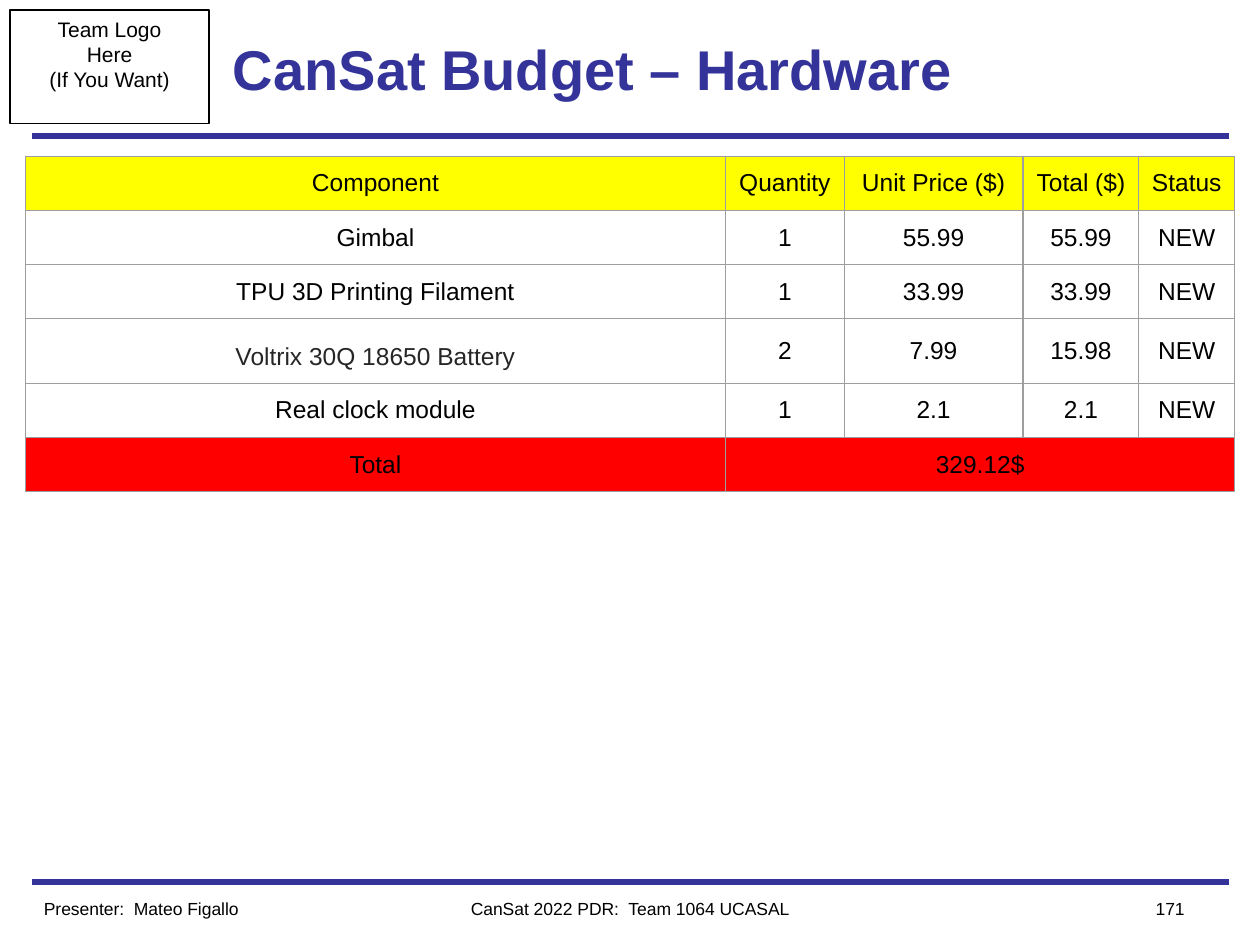
from dataclasses import dataclass

from lxml.etree import SubElement
from pptx import Presentation
from pptx.dml.color import RGBColor
from pptx.enum.shapes import MSO_CONNECTOR as Connector, MSO_SHAPE as Shape
from pptx.enum.text import MSO_ANCHOR as Anchor, PP_ALIGN as Align
from pptx.oxml.ns import qn
from pptx.util import Inches, Pt


@dataclass(frozen=True)
class Theme:
    font: str = "Arial"
    navy: str = "333399"
    black: str = "000000"
    gray: str = "262626"
    border: str = "9E9E9E"
    yellow: str = "FFFF00"
    red: str = "FF0000"
    title: int = 32
    table: int = 14
    logo: int = 12
    footer: int = 10


theme = Theme()

TITLE = "CanSat Budget – Hardware"
LOGO = ["Team Logo", "Here", "(If You Want)"]
FOOTERS = [
    ("Presenter:  Mateo Figallo", 0.25, 2.5, Align.LEFT),
    ("CanSat 2022 PDR:  Team 1064 UCASAL", 3, 4, Align.CENTER),
    ("171", 8.75, 0.75, Align.RIGHT),
]
HEADER = ["Component", "Quantity", "Unit Price ($)", "Total ($)", "Status"]
BATTERY = "Voltrix 30Q 18650 Battery"
ITEMS = [
    ["Gimbal", "1", "55.99", "55.99", "NEW"],
    ["TPU 3D Printing Filament", "1", "33.99", "33.99", "NEW"],
    [BATTERY, "2", "7.99", "15.98", "NEW"],
    ["Real clock module", "1", "2.1", "2.1", "NEW"],
]
TOTAL = ["Total", "329.12$", "", "", ""]
COLUMN_WIDTHS = [5.56, 0.94, 1.42, 0.92, 0.76]
ROW_HEIGHT = 0.43
RULE_HEIGHTS = [1.08, 7]


def write(frame, *lines, size, color=theme.black, bold=False, align=Align.CENTER,
          spacing=None, after=None):
    frame.word_wrap = True
    for index, line in enumerate(lines):
        para = frame.paragraphs[0] if index == 0 else frame.add_paragraph()
        para.alignment = align
        para.line_spacing = spacing
        para.space_after = after
        span = para.add_run()
        span.text = line
        span.font.name = theme.font
        span.font.size = Pt(size)
        span.font.bold = bold
        span.font.color.rgb = RGBColor.from_string(color)


def add_text(page, text, left, top, width, height, anchor=Anchor.TOP, **style):
    box = page.shapes.add_textbox(*map(Inches, (left, top, width, height)))
    box.text_frame.vertical_anchor = anchor
    write(box.text_frame, text, **style)


def add_logo_box(page):
    box = page.shapes.add_shape(Shape.RECTANGLE, *map(Inches, (0.08, 0.08, 1.58, 0.9)))
    box.shadow.inherit = False
    box.fill.background()
    box.line.color.rgb = RGBColor.from_string(theme.black)
    box.line.width = Pt(0.75)
    box.text_frame.vertical_anchor = Anchor.TOP
    write(box.text_frame, *LOGO, size=theme.logo)


def add_rule(page, top):
    rule = page.shapes.add_connector(
        Connector.STRAIGHT, *map(Inches, (0.25, top, 9.75, top)))
    rule.line.color.rgb = RGBColor.from_string(theme.navy)
    rule.line.width = Pt(3)
    SubElement(rule._element.spPr, qn("a:effectLst"))


def format_cell(cell, fill):
    cell.vertical_anchor = Anchor.MIDDLE
    cell.margin_left = cell.margin_right = Inches(0.1)
    cell.margin_top = cell.margin_bottom = Inches(0.1)
    properties = cell._tc.get_or_add_tcPr()
    for side in ("a:lnL", "a:lnR", "a:lnT", "a:lnB"):
        edge = SubElement(properties, qn(side), w=str(Pt(0.75)))
        SubElement(SubElement(edge, qn("a:solidFill")), qn("a:srgbClr"), val=theme.border)
    if fill:
        cell.fill.solid()
        cell.fill.fore_color.rgb = RGBColor.from_string(fill)
    else:
        cell.fill.background()


def add_budget(page):
    rows = [HEADER, *ITEMS, TOTAL]
    fills = [theme.yellow, *[None] * len(ITEMS), theme.red]
    frame = page.shapes.add_table(
        len(rows), len(HEADER), Inches(0.2), Inches(1.24),
        Inches(sum(COLUMN_WIDTHS)), Inches(ROW_HEIGHT * len(rows)))
    budget = frame.table
    budget.first_row = budget.horz_banding = False
    for column, width in zip(budget.columns, COLUMN_WIDTHS):
        column.width = Inches(width)
    for row, values, fill in zip(budget.rows, rows, fills):
        row.height = Inches(ROW_HEIGHT)
        for cell, value in zip(row.cells, values):
            format_cell(cell, fill)
            style = {}
            if value == BATTERY:
                style = dict(color=theme.gray, spacing=1.43, after=Pt(11))
            if value:
                write(cell.text_frame, value, size=theme.table, **style)
    last = len(rows) - 1
    budget.cell(last, 1).merge(budget.cell(last, len(HEADER) - 1))


def main():
    deck = Presentation()
    deck.slide_width, deck.slide_height = Inches(10), Inches(7.5)
    page = deck.slides.add_slide(deck.slide_layouts[6])
    add_logo_box(page)
    for top in RULE_HEIGHTS:
        add_rule(page, top)
    add_budget(page)
    add_text(page, TITLE, 1.75, 0.08, 6.5, 0.92, anchor=Anchor.MIDDLE,
             size=theme.title, color=theme.navy, bold=True, align=Align.LEFT)
    for text, left, width, align in FOOTERS:
        add_text(page, text, left, 7.08, width, 0.27, size=theme.footer, align=align)
    deck.save("out.pptx")


if __name__ == "__main__":
    main()
